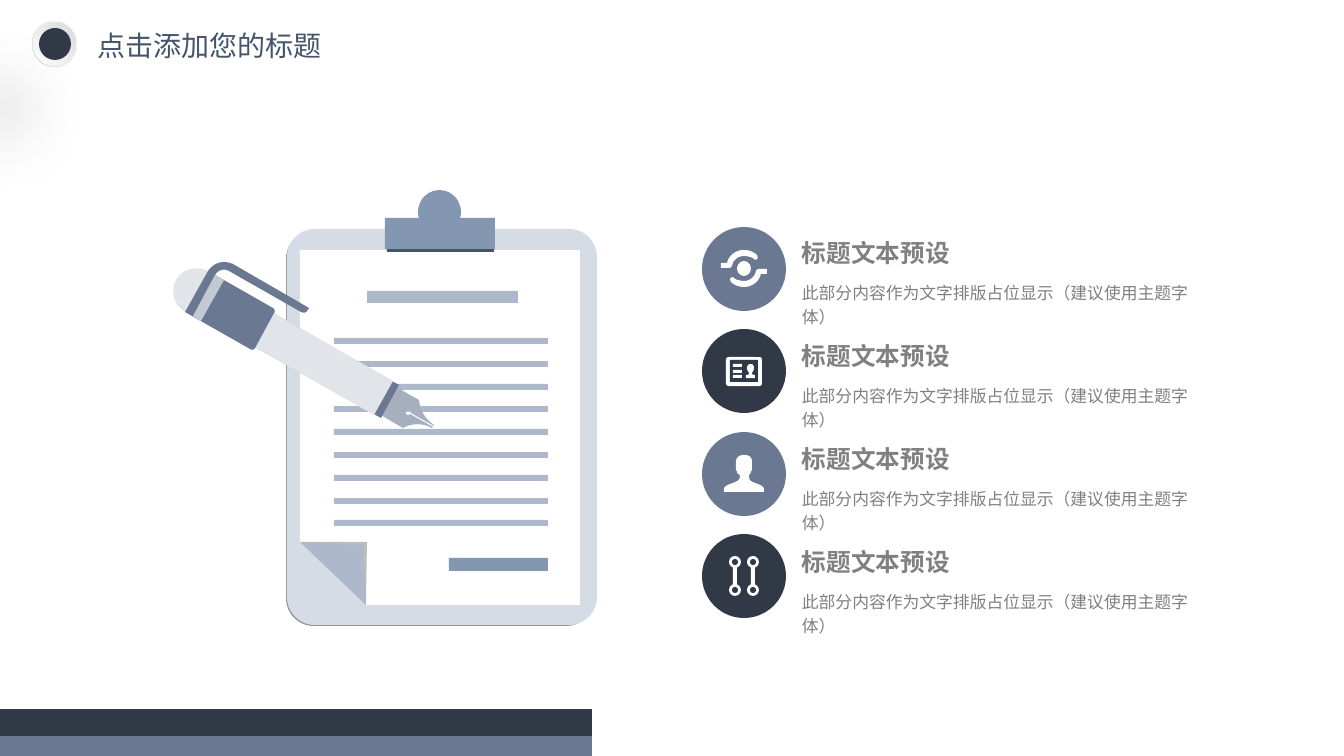
from typing import NamedTuple

import lxml.etree
import pptx
import pptx.dml.color
import pptx.enum.shapes
import pptx.enum.text
import pptx.oxml
import pptx.oxml.ns
import pptx.util

SCALE = 914400 / 100.8
FONT = "Noto Sans CJK SC"
COLORS = {
    "white": "FFFFFF", "pearl": "FEFEFE", "silver": "D9D9D9", "black": "000000",
    "navy": "313846", "slate": "6A7991", "ink": "44546A", "text": "808080",
    "edge": "939598", "board": "D6DCE5", "line": "ADB9CA", "clip": "8497B0",
    "crease": "BCBCB8", "nib": "A5AFBD", "barrel": "E1E4E9", "ring": "C3C9D3",
}
SHAPE = pptx.enum.shapes.MSO_SHAPE
OVAL, RECT, ROUND = SHAPE.OVAL, SHAPE.RECTANGLE, SHAPE.ROUNDED_RECTANGLE


class Box(NamedTuple):
    """A preset shape in pixels."""
    kind: int
    x: int
    y: int
    w: int
    h: int
    color: str


class Outline(NamedTuple):
    """A closed outline; a pair is a line end, six numbers are a Bezier curve."""
    color: str
    steps: list


class Item(NamedTuple):
    """A numbered row of the list."""
    title: str
    body: str
    color: str
    icon: list


def px(n: float) -> int:
    """Turn pixels into EMU."""
    return pptx.util.Emu(round(n * SCALE))


def paint(s, color: str) -> None:
    """Give a shape a flat fill without line or shadow."""
    s.shadow.inherit = False
    s.fill.solid()
    s.fill.fore_color.rgb = pptx.dml.color.RGBColor.from_string(COLORS[color])
    s.line.fill.background()


def add_box(shapes, b: Box):
    """Draw a preset shape."""
    s = shapes.add_shape(b.kind, px(b.x), px(b.y), px(b.w), px(b.h))
    paint(s, b.color)
    return s


def add_outline(shapes, o: Outline) -> None:
    """Draw an outline, dividing each curve into short lines."""
    points = []
    for step in o.steps:
        if len(step) == 2:
            points.append(step)
            continue
        (x0, y0), (x1, y1, x2, y2, x3, y3) = points[-1], step
        for t in (i / 8 for i in range(1, 9)):
            u = 1 - t
            a, b, c, d = u**3, 3 * u * u * t, 3 * u * t * t, t**3
            points.append((a * x0 + b * x1 + c * x2 + d * x3,
                           a * y0 + b * y1 + c * y2 + d * y3))
    emu = [(px(x), px(y)) for x, y in points]
    fb = shapes.build_freeform(*emu[0], scale=1.0)
    fb.add_line_segments(emu[1:], close=True)
    paint(fb.convert_to_shape(), o.color)


def draw(shapes, parts: list) -> None:
    """Draw boxes and outlines from back to front."""
    for part in parts:
        (add_box if isinstance(part, Box) else add_outline)(shapes, part)


def set_gradient(s, stops: list, direction: str) -> None:
    """Replace a flat fill by a gradient."""
    marks = "".join(f'<a:gs pos="{pos * 1000}"><a:srgbClr val="{COLORS[c]}"/></a:gs>'
                    for pos, c in stops)
    grad = pptx.oxml.parse_xml(f'<a:gradFill {pptx.oxml.ns.nsdecls("a")}>'
                               f'<a:gsLst>{marks}</a:gsLst>{direction}</a:gradFill>')
    pr = s._element.spPr
    pr.replace(pr.find(pptx.oxml.ns.qn("a:solidFill")), grad)


def set_shadow(s) -> None:
    """Give a shape a wide soft shadow, far to the lower left."""
    effects = s._element.spPr.find(pptx.oxml.ns.qn("a:effectLst"))
    effects.append(pptx.oxml.parse_xml(
        f'<a:outerShdw {pptx.oxml.ns.nsdecls("a")} blurRad="635000" dist="762000" '
        f'dir="7800000"><a:srgbClr val="{COLORS["black"]}">'
        '<a:alpha val="25000"/></a:srgbClr></a:outerShdw>'))


def set_text(s, text: str, size: float, color: str, inset: tuple, bold: bool = False,
             wrap: bool = True, spacing: float = 1.0) -> None:
    """Write one left-aligned paragraph into a shape."""
    tf = s.text_frame
    tf.word_wrap = wrap
    tf.auto_size = pptx.enum.text.MSO_AUTO_SIZE.NONE
    tf.vertical_anchor = pptx.enum.text.MSO_ANCHOR.TOP
    tf.margin_left = tf.margin_right = px(inset[0])
    tf.margin_top = tf.margin_bottom = px(inset[1])
    p = tf.paragraphs[0]
    p.text = text
    p.alignment = pptx.enum.text.PP_ALIGN.LEFT
    p.line_spacing = spacing
    p.font.size, p.font.bold, p.font.name = pptx.util.Pt(size), bold, FONT
    p.font.color.rgb = pptx.dml.color.RGBColor.from_string(COLORS[color])
    for r in p.runs:
        ea = lxml.etree.SubElement(r._r.get_or_add_rPr(), pptx.oxml.ns.qn("a:ea"))
        ea.set("typeface", FONT)


def half_turn(steps: list, cx: float, cy: float) -> list:
    """Turn an outline by 180 degrees about a centre."""
    return [tuple(2 * (cy if i % 2 else cx) - n for i, n in enumerate(step))
            for step in steps]


LID = [(732, 266), (733, 260, 738, 256, 744, 256), (747, 256, 752, 257, 754, 259),
       (755, 260, 756, 260, 757, 259), (758, 259, 758, 257, 757, 255),
       (754, 252, 749, 250, 744, 250), (736, 250, 729, 255, 727, 263), (721, 263),
       (721, 268), (729, 268), (731, 268, 731, 267, 732, 266)]
EYE = [Box(OVAL, 737, 261, 14, 15, "white"), Outline("white", LID),
       Outline("white", half_turn(LID, 744, 268.5))]
CARD = [Box(ROUND, 726, 357, 36, 29, "white"), Box(RECT, 730, 360, 28, 22, "navy"),
        *(Box(RECT, 733, y, 9, 3, "white") for y in (364, 370, 375)),
        Outline("white", [(755, 378), (755, 375), (752, 375, 752, 374, 752, 373),
                          (752, 372, 754, 371, 754, 368), (754, 366, 753, 364, 751, 364),
                          (748, 364, 747, 366, 747, 368), (747, 371, 749, 372, 749, 373),
                          (749, 375, 747, 375, 746, 375), (746, 378)])]
PERSON = [Outline("white", [
    (755, 483), (750, 481, 749, 480, 749, 476), (749, 474, 750, 475, 751, 472),
    (751, 470, 752, 472, 752, 468), (752, 462), (752, 460, 752, 455, 744, 455),
    (737, 455, 736, 460, 736, 462), (736, 468), (736, 472, 737, 470, 737, 472),
    (738, 475, 740, 474, 740, 476), (740, 480, 738, 481, 733, 483),
    (727, 485, 724, 487, 724, 489), (724, 492), (764, 492), (764, 489),
    (764, 487, 761, 485, 755, 483)])]
LINKS = []
for x in (729, 747):
    LINKS.append(Box(RECT, x + 4, 566, 4, 20, "white"))
    for y in (556, 584):
        LINKS += [Box(OVAL, x, y, 12, 12, "white"), Box(OVAL, x + 3, y + 3, 6, 6, "navy")]

HEADING = "标题文本预设"
BODY = "此部分内容作为文字排版占位显示（建议使用主题字体）"
ITEMS = [Item(HEADING, BODY, color, icon) for color, icon in
         (("slate", EYE), ("navy", CARD), ("slate", PERSON), ("navy", LINKS))]

CLIPBOARD = [
    Box(ROUND, 286, 231, 308, 395, "edge"), Box(ROUND, 287, 229, 310, 396, "board"),
    Outline("white", [(366, 605), (580, 605), (580, 250), (300, 250), (300, 542)]),
    Box(RECT, 449, 558, 99, 13, "clip"),
    *(Box(RECT, 334, 338 + round(22.8 * i), 214, 6, "line") for i in range(9)),
    Box(RECT, 367, 291, 151, 12, "line"),
    Outline("crease", [(367, 542), (300, 542), (366, 605)]),
    Outline("line", [(363, 545), (300, 542), (366, 605)]),
    Box(RECT, 387, 219, 107, 33, "ink"), Box(OVAL, 418, 190, 43, 44, "clip"),
    Box(RECT, 385, 218, 110, 31, "clip"),
]
PEN = [
    Outline("nib", [
        (381, 397), (374, 411), (403, 428), (412, 423, 423, 423, 432, 428), (433, 427),
        (410, 414), (410, 415, 408, 415, 407, 415), (406, 414, 405, 412, 406, 410),
        (407, 409, 408, 408, 410, 409), (411, 410, 411, 412, 411, 413), (434, 426),
        (434, 425), (425, 419, 420, 410, 419, 400), (389, 383)]),
    Outline("slate", [(399, 385), (381, 418), (221, 328), (240, 294)]),
    Outline("barrel", [(393, 381), (374, 415), (214, 324), (233, 290)]),
    Outline("barrel", [(184, 311), (185, 312), (208, 271), (197, 265, 182, 269, 176, 280),
                       (170, 291, 174, 305, 184, 311)]),
    Outline("slate", [
        (208, 271), (185, 312), (250, 349), (252, 350, 254, 350, 255, 348), (274, 313),
        (275, 312, 275, 309, 273, 308), (215, 275), (218, 270, 224, 268, 229, 271),
        (301, 312), (303, 313, 306, 313, 307, 311), (309, 308), (233, 264),
        (224, 260, 214, 262, 208, 271)]),
    Outline("ring", [(201, 321), (224, 280), (215, 275), (193, 316)]),
]


def add_item(shapes, i: int, item: Item) -> None:
    """Draw a row: heading, body text, disc and icon."""
    y = 230 + 103 * i
    s = shapes.add_textbox(px(786), px(y), px(168), px(41))
    set_text(s, item.title, 17.6, "text", (16, 8), bold=True, wrap=False)
    s = shapes.add_textbox(px(786), px(y + 41), px(422), px(40))
    set_text(s, item.body, 12, "text", (16, 8), spacing=1.2)
    draw(shapes, [Box(OVAL, 702, 227 + round(102.3 * i), 84, 84, item.color), *item.icon])


def add_header(shapes) -> None:
    """Place the slide title, its badge and the footer bar."""
    s = shapes.title
    s.left, s.top, s.width, s.height = px(84), px(22), px(267), px(47)
    set_text(s, "点击添加您的标题", 20, "ink", (13, 7))
    radial = '<a:path path="circle"><a:fillToRect l="100000" b="100000"/></a:path>'
    rim = add_box(shapes, Box(OVAL, 32, 21, 45, 46, "silver"))
    set_gradient(rim, [(0, "white"), (100, "silver")], radial)
    set_shadow(rim)
    dish = add_box(shapes, Box(OVAL, 33, 22, 43, 44, "silver"))
    set_gradient(dish, [(0, "silver"), (100, "pearl")], radial)
    add_box(shapes, Box(OVAL, 39, 28, 32, 32, "navy"))
    bar = add_box(shapes, Box(RECT, 0, 709, 592, 47, "navy"))
    set_gradient(bar, [(58, "navy"), (58, "slate")], '<a:lin ang="5400000" scaled="0"/>')


prs = pptx.Presentation()
prs.slide_width, prs.slide_height = px(1344), px(756)
shapes = prs.slides.add_slide(prs.slide_layouts[5]).shapes
add_header(shapes)
for i, item in enumerate(ITEMS):
    add_item(shapes, i, item)
draw(shapes, CLIPBOARD + PEN)
for s in shapes:
    if s.shape_type == pptx.enum.shapes.MSO_SHAPE_TYPE.AUTO_SHAPE and s.auto_shape_type == ROUND:
        s.adjustments[0] = 0.09
prs.save("out.pptx")
